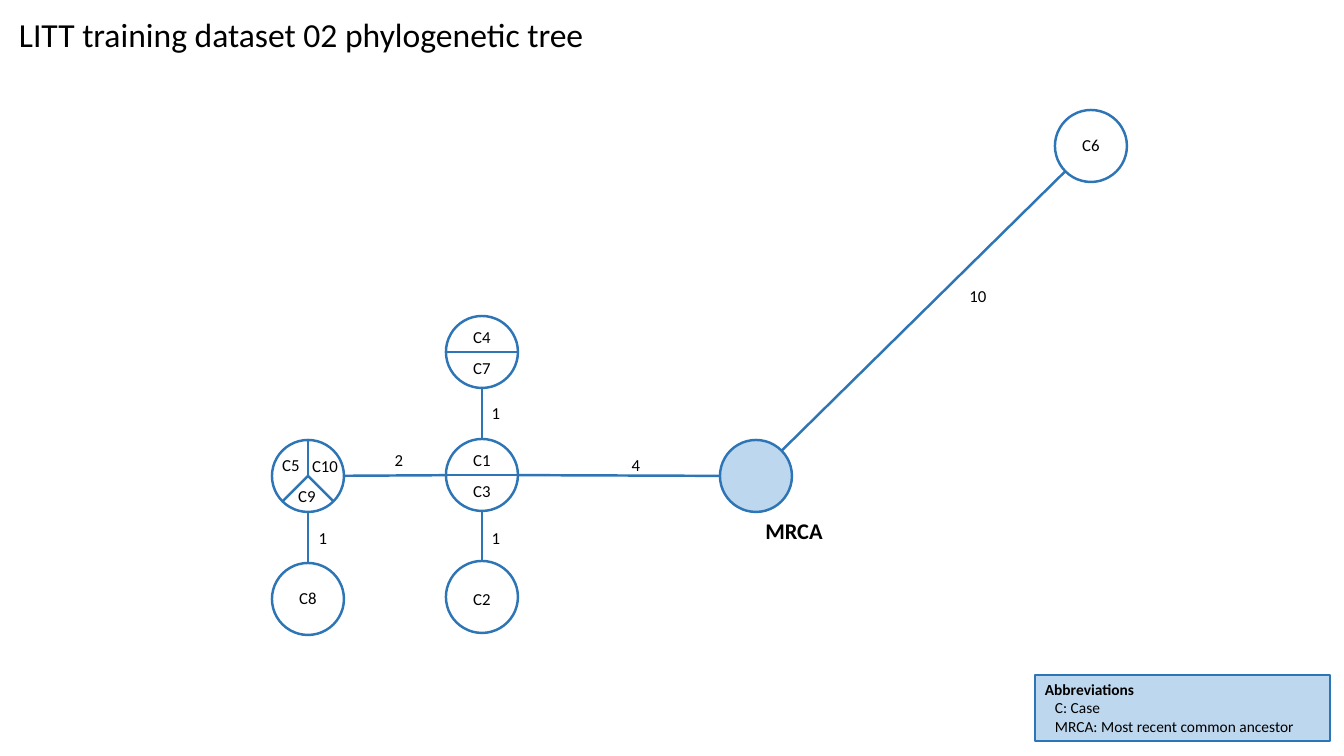
from math import cos, hypot, radians, sin

from lxml.etree import SubElement
from pptx import Presentation
from pptx.dml.color import RGBColor
from pptx.enum.shapes import MSO_CONNECTOR as Connector, MSO_SHAPE as Preset
from pptx.enum.text import MSO_ANCHOR as Anchor, PP_ALIGN as Align
from pptx.oxml.ns import qn
from pptx.util import Pt

SCALE = 914400 / 100.8  # EMU per pixel
BLUE = RGBColor(0x2E, 0x75, 0xB6)
PALE_BLUE = RGBColor(0xBD, 0xD7, 0xEE)
BLACK = RGBColor(0, 0, 0)
FONT = "Calibri"
RADIUS = 36

# Node name: centre, spoke angles (clockwise from the right), case labels with offsets
HALVES = (0, 180)
THIRDS = (270, 45, 135)
NODES = {
    "root": ((756, 476), (), ()),
    "C6": ((1091, 146), (), (("C6", 0, -1),)),
    "C2": ((482, 597), (), (("C2", 0, 2),)),
    "C8": ((308, 599), (), (("C8", 0, -1),)),
    "C1": ((482, 475), HALVES, (("C1", 0, -15), ("C3", 0, 16))),
    "C4": ((482, 352), HALVES, (("C4", 0, -15), ("C7", 0, 16))),
    "C5": ((308, 476), THIRDS, (("C5", -17, -11), ("C10", 17, -10), ("C9", -1, 20))),
}
# Joined nodes, distance, centre of its label
BRANCHES = (
    ("C1", "root", "4", (636, 465)),
    ("root", "C6", "10", (978, 296)),
    ("C1", "C5", "2", (399, 460)),
    ("C1", "C4", "1", (496, 413)),
    ("C2", "C1", "1", (496, 538)),
    ("C8", "C5", "1", (323, 538)),
)


def px(*lengths):
    return [round(length * SCALE) for length in lengths]


def style_text(para, size, bold=False):
    for span in para.runs:
        span.font.name = FONT
        span.font.size = Pt(size)
        span.font.bold = bold
        span.font.color.rgb = BLACK


def add_text(shapes, box, text, size, bold=False, align=Align.CENTER):
    label = shapes.add_textbox(*px(*box))
    frame = label.text_frame
    frame.text = text
    frame.word_wrap = False
    frame.vertical_anchor = Anchor.MIDDLE
    frame.paragraphs[0].alignment = align
    style_text(frame.paragraphs[0], size, bold)


def add_label(shapes, centre, text, size=12, bold=False):
    # Wide enough for the longest label plus the side insets
    width, height = (80, 38) if bold else (50, 30)
    x, y = centre
    add_text(shapes, (x - width / 2, y - height / 2, width, height), text, size, bold)


def add_line(shapes, start, end):
    line = shapes.add_connector(Connector.STRAIGHT, *px(*start, *end))
    line.line.color.rgb = BLUE
    line.line.width = Pt(1.75)
    SubElement(line._element.spPr, qn("a:effectLst"))


def add_outlined(shapes, preset, box, fill=None):
    shape = shapes.add_shape(preset, *px(*box))
    shape.shadow.inherit = False
    if fill is None:
        shape.fill.background()
    else:
        shape.fill.solid()
        shape.fill.fore_color.rgb = fill
    shape.line.color.rgb = BLUE
    shape.line.width = Pt(1.75)
    return shape


def add_node(page, centre, angles, cases, fill=None):
    x, y = centre
    # A divided node keeps its circle and dividers together
    shapes = page.shapes.add_group_shape().shapes if angles else page.shapes
    add_outlined(shapes, Preset.OVAL, (x - RADIUS, y - RADIUS, 2 * RADIUS, 2 * RADIUS), fill)
    rim = [(x + RADIUS * cos(radians(a)), y + RADIUS * sin(radians(a))) for a in angles]
    if angles == HALVES:
        add_line(shapes, rim[1], rim[0])
    else:
        for point in rim:
            add_line(shapes, point, centre)
    for case, dx, dy in cases:
        add_label(page.shapes, (x + dx, y + dy), case)


def add_branch(page, start, end, distance, label_centre):
    """Join two circles from rim to rim."""
    (x1, y1), (x2, y2) = start, end
    share = RADIUS / hypot(x2 - x1, y2 - y1)
    dx, dy = (x2 - x1) * share, (y2 - y1) * share
    add_line(page.shapes, (x1 + dx, y1 + dy), (x2 - dx, y2 - dy))
    add_label(page.shapes, label_centre, distance)


def add_tree(page, left, top):
    def place(point):
        return point[0] + left, point[1] + top

    for first, second, distance, label_centre in BRANCHES:
        add_branch(page, place(NODES[first][0]), place(NODES[second][0]),
                   distance, place(label_centre))
    for name, (centre, angles, cases) in NODES.items():
        add_node(page, place(centre), angles, cases, PALE_BLUE if name == "root" else None)
    add_label(page.shapes, place((794, 531)), "MRCA", 16, bold=True)


def add_legend(page, box):
    legend = add_outlined(page.shapes, Preset.RECTANGLE, box, PALE_BLUE)
    frame = legend.text_frame
    frame.word_wrap = True
    frame.vertical_anchor = Anchor.TOP
    frame.text = "Abbreviations\nC: Case\nMRCA: Most recent common ancestor"
    for row, para in enumerate(frame.paragraphs):
        para.alignment = Align.LEFT
        style_text(para, 11, bold=row == 0)
        if row:
            para._p.get_or_add_pPr().set("marL", str(px(10)[0]))


deck = Presentation()
deck.slide_width, deck.slide_height = px(1344, 756)
page = deck.slides.add_slide(deck.slide_layouts[6])

# Title, tree and legend
add_text(page.shapes, (9, 9, 608, 50), "LITT training dataset 02 phylogenetic tree", 24,
         align=Align.LEFT)
add_tree(page, 0, 0)
add_legend(page, (1035, 675, 295, 66))

deck.save("out.pptx")
